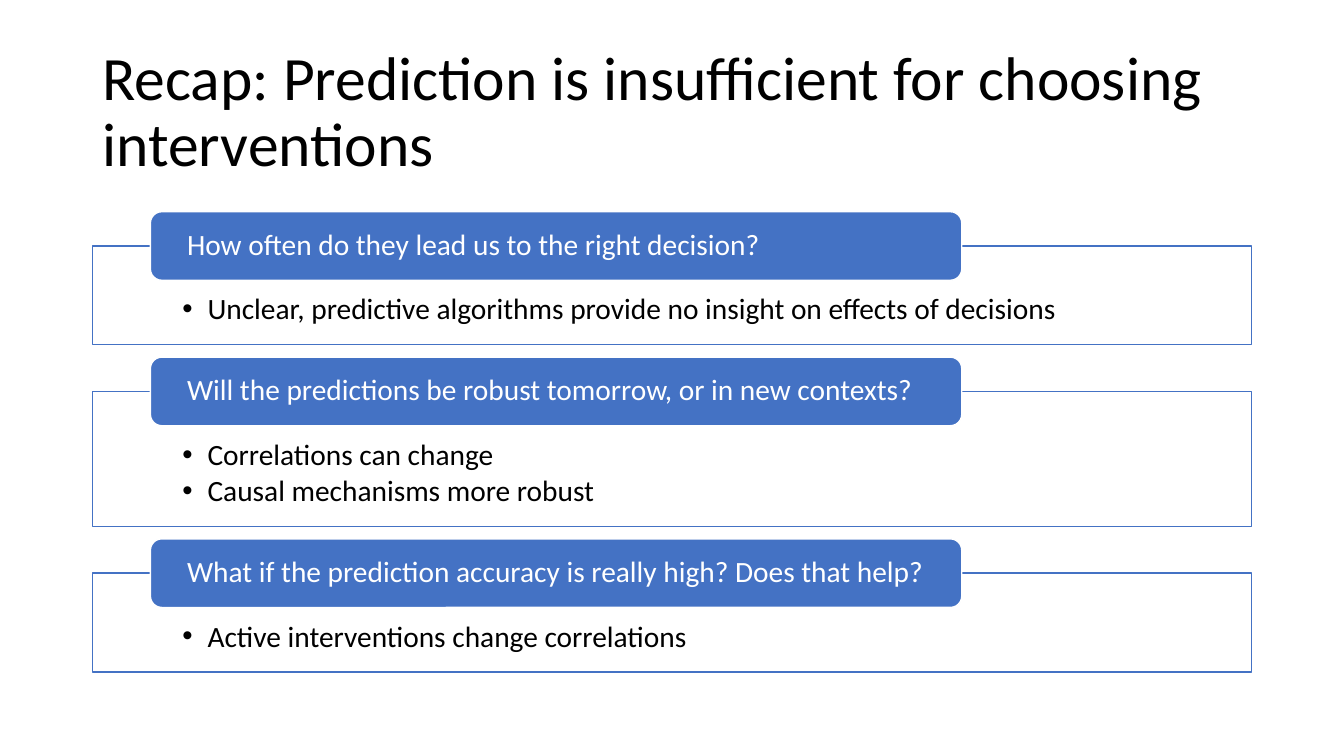
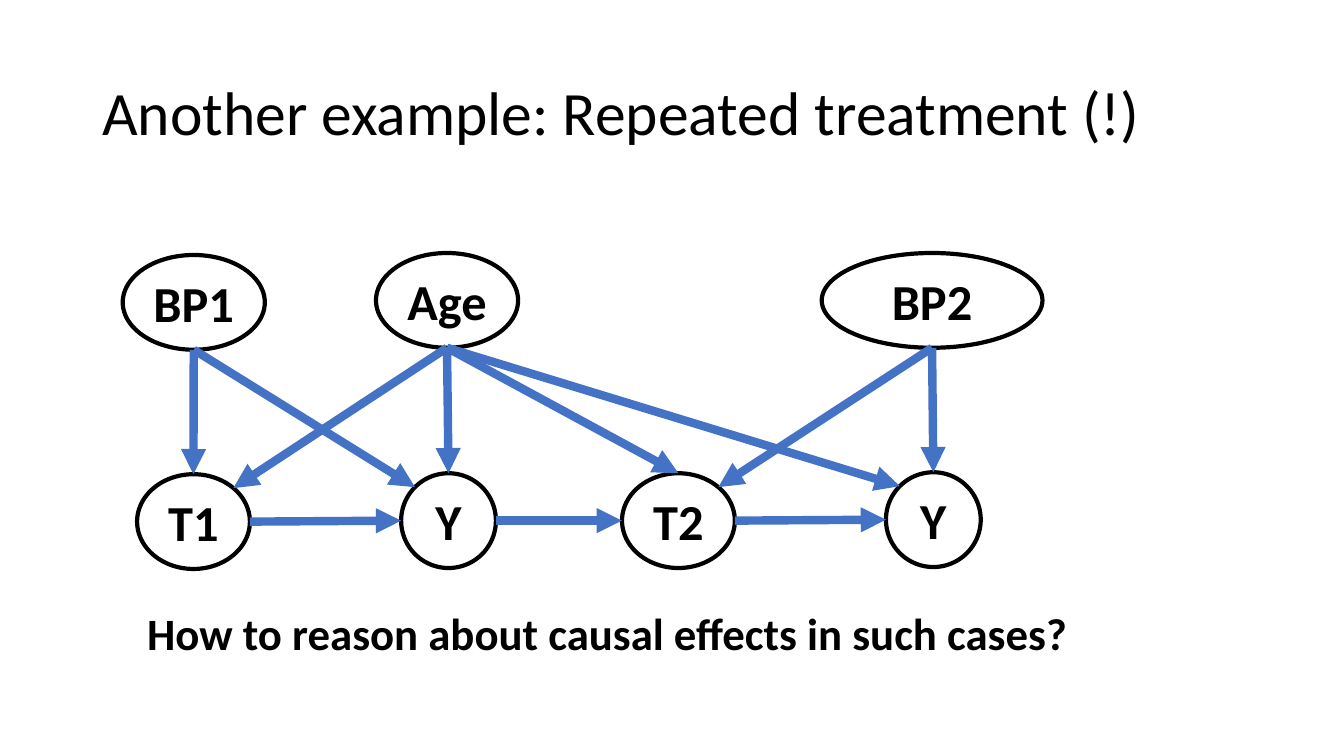
from dataclasses import dataclass
from math import cos, radians, sin

from lxml.etree import SubElement
from pptx import Presentation
from pptx.dml.color import RGBColor
from pptx.enum.shapes import MSO_CONNECTOR, MSO_SHAPE
from pptx.enum.text import MSO_ANCHOR as Anchor, PP_ALIGN as Align
from pptx.oxml.ns import qn
from pptx.shapes.autoshape import Shape
from pptx.slide import Slide
from pptx.text.text import TextFrame, _Paragraph as Paragraph
from pptx.util import Pt

COLORS = {"ink": "000000", "paper": "FFFFFF", "accent": "4472C4"}
FONT = "Calibri"
MARGIN, CONTENT_WIDTH = 66, 828

# Ellipse connection sites run counterclockwise from the top in 45° steps
TOP, TOP_LEFT, LEFT, BOTTOM, RIGHT, TOP_RIGHT = 0, 1, 2, 4, 6, 7


@dataclass(frozen=True)
class Question:
    heading: str
    answers: tuple[str, ...]


@dataclass(frozen=True)
class Node:
    label: str
    center_x: float
    center_y: float
    width: float
    height: float = 67.7

    def site(self, index: int) -> tuple[float, float]:
        angle = radians(45 * index)
        return (self.center_x - self.width / 2 * sin(angle),
                self.center_y - self.height / 2 * cos(angle))


@dataclass(frozen=True)
class Edge:
    cause: str
    cause_site: int
    effect: str
    effect_site: int


QUESTIONS = (
    Question("How often do they lead us to the right decision?",
             ("Unclear, predictive algorithms provide no insight on effects of decisions",)),
    Question("Will the predictions be robust tomorrow, or in new contexts?",
             ("Correlations can change", "Causal mechanisms more robust")),
    Question("What if the prediction accuracy is really high? Does that help?",
             ("Active interventions change correlations",)),
)

NODES = {
    "bp1": Node("BP1", 138.4, 216, 101.5),
    "age": Node("Age", 319.3, 214.6, 101.5),
    "bp2": Node("BP2", 665.8, 214.6, 157.7),
    "t1": Node("T1", 138.2, 372.6, 80.6),
    "y1": Node("Y", 320.4, 371.9, 67.7),
    "t2": Node("T2", 484.6, 371.9, 80.6),
    "y2": Node("Y", 666.7, 371.2, 67.7),
}

EDGES = (
    Edge("bp1", BOTTOM, "t1", TOP),
    Edge("bp1", BOTTOM, "y1", TOP_LEFT),
    Edge("age", BOTTOM, "t1", TOP_RIGHT),
    Edge("age", BOTTOM, "y1", TOP),
    Edge("age", BOTTOM, "t2", TOP),
    Edge("age", BOTTOM, "y2", TOP_LEFT),
    Edge("bp2", BOTTOM, "t2", TOP_RIGHT),
    Edge("bp2", BOTTOM, "y2", TOP),
    Edge("t1", RIGHT, "y1", LEFT),
    Edge("y1", RIGHT, "t2", LEFT),
    Edge("t2", RIGHT, "y2", LEFT),
)


# Shared text and shape styling
def rgb(name: str) -> RGBColor:
    return RGBColor.from_string(COLORS[name])


def style_text(paragraph: Paragraph, size: float, color: str = "ink",
               bold: bool = False, align: Align = Align.LEFT) -> None:
    paragraph.alignment = align
    font = paragraph.font
    font.name, font.size, font.bold = FONT, Pt(size), bold
    font.color.rgb = rgb(color)


def set_insets(frame: TextFrame, side: float, top: float, bottom: float) -> None:
    frame.margin_left = frame.margin_right = Pt(side)
    frame.margin_top, frame.margin_bottom = Pt(top), Pt(bottom)


def add_box(slide: Slide, preset: MSO_SHAPE, left: float, top: float, width: float,
            height: float, fill: str, line: str, line_width: float) -> Shape:
    box = slide.shapes.add_shape(preset, Pt(left), Pt(top), Pt(width), Pt(height))
    box.shadow.inherit = False
    box.fill.solid()
    box.fill.fore_color.rgb = rgb(fill)
    box.line.color.rgb = rgb(line)
    box.line.width = Pt(line_width)
    box.text_frame.word_wrap = True
    return box


def add_text(slide: Slide, text: str, left: float, top: float, width: float,
             height: float, size: float, bold: bool = False) -> TextFrame:
    frame = slide.shapes.add_textbox(Pt(left), Pt(top), Pt(width), Pt(height)).text_frame
    frame.word_wrap = True
    frame.text = text
    style_text(frame.paragraphs[0], size, bold=bold)
    return frame


def add_title(slide: Slide, text: str, top: float) -> None:
    frame = add_text(slide, text, MARGIN, top, CONTENT_WIDTH, 104.4, 44)
    frame.vertical_anchor = Anchor.MIDDLE
    frame.paragraphs[0].line_spacing = 0.9


# Question panels
def add_bullet(paragraph: Paragraph) -> None:
    properties = paragraph._p.get_or_add_pPr()
    properties.set("marL", str(Pt(18)))
    properties.set("indent", str(Pt(-18)))
    SubElement(properties, qn("a:buFont")).set("typeface", "Arial")
    SubElement(properties, qn("a:buChar")).set("char", "•")


def add_question(slide: Slide, question: Question, top: float) -> float:
    """Draw one question with its answers and return the bottom edge."""
    heading_height = 49
    panel_top = top + heading_height / 2
    panel_height = 44.7 + 25.9 * len(question.answers)

    panel = add_box(slide, MSO_SHAPE.RECTANGLE, MARGIN, panel_top, CONTENT_WIDTH,
                    panel_height, "paper", "accent", 1)
    answers = panel.text_frame
    answers.vertical_anchor = Anchor.TOP
    set_insets(answers, 64.3, 34.6, 11.5)
    answers.text = "\n".join(question.answers)
    for answer in answers.paragraphs:
        add_bullet(answer)
        answer.line_spacing = 0.9
        answer.space_after = Pt(3)
        style_text(answer, 21)

    tab = add_box(slide, MSO_SHAPE.ROUNDED_RECTANGLE, 107.4, top, 579.6,
                  heading_height, "accent", "paper", 1)
    heading = tab.text_frame
    heading.vertical_anchor = Anchor.MIDDLE
    set_insets(heading, 23.8, 0, 0)
    heading.text = question.heading
    heading.paragraphs[0].line_spacing = 0.9
    style_text(heading.paragraphs[0], 21, "paper")
    return panel_top + panel_height


# Causal graph
def add_node(slide: Slide, node: Node) -> Shape:
    oval = add_box(slide, MSO_SHAPE.OVAL, node.center_x - node.width / 2,
                   node.center_y - node.height / 2, node.width, node.height,
                   "paper", "ink", 3)
    label = oval.text_frame
    label.word_wrap = False
    label.vertical_anchor = Anchor.MIDDLE
    set_insets(label, 0, 3.6, 3.6)
    label.text = node.label
    style_text(label.paragraphs[0], 36, bold=True, align=Align.CENTER)
    return oval


def add_edge(slide: Slide, edge: Edge, ovals: dict[str, Shape]) -> None:
    start = NODES[edge.cause].site(edge.cause_site)
    end = NODES[edge.effect].site(edge.effect_site)
    arrow = slide.shapes.add_connector(MSO_CONNECTOR.STRAIGHT,
                                       *(Pt(value) for value in start + end))
    arrow.line.color.rgb = rgb("accent")
    arrow.line.width = Pt(6)
    SubElement(arrow.line._get_or_add_ln(), qn("a:tailEnd")).set("type", "triangle")
    SubElement(arrow._element.spPr, qn("a:effectLst"))

    # Ellipses have eight sites, so the joins are written directly
    joints = arrow._element.find(".//" + qn("p:cNvCxnSpPr"))
    for tag, key, site in (("a:stCxn", edge.cause, edge.cause_site),
                           ("a:endCxn", edge.effect, edge.effect_site)):
        joint = SubElement(joints, qn(tag))
        joint.set("id", str(ovals[key].shape_id))
        joint.set("idx", str(site))


# Slides
def build_recap(slide: Slide) -> None:
    add_title(slide, "Recap: Prediction is insufficient for choosing interventions", 28.8)
    top = 151.2
    for question in QUESTIONS:
        top = add_question(slide, question, top) + 8.8


def build_repeated_treatment(slide: Slide) -> None:
    add_title(slide, "Another example: Repeated treatment (!)", 30.2)
    ovals = {key: add_node(slide, node) for key, node in NODES.items()}
    for edge in EDGES:
        add_edge(slide, edge, ovals)
    add_text(slide, "How to reason about causal effects in such cases?",
             98, 429, 691, 46, 32, bold=True)


def main() -> None:
    deck = Presentation()
    deck.slide_width, deck.slide_height = Pt(960), Pt(540)
    blank = deck.slide_layouts[6]
    for build in (build_recap, build_repeated_treatment):
        build(deck.slides.add_slide(blank))
    deck.save("out.pptx")


if __name__ == "__main__":
    main()
